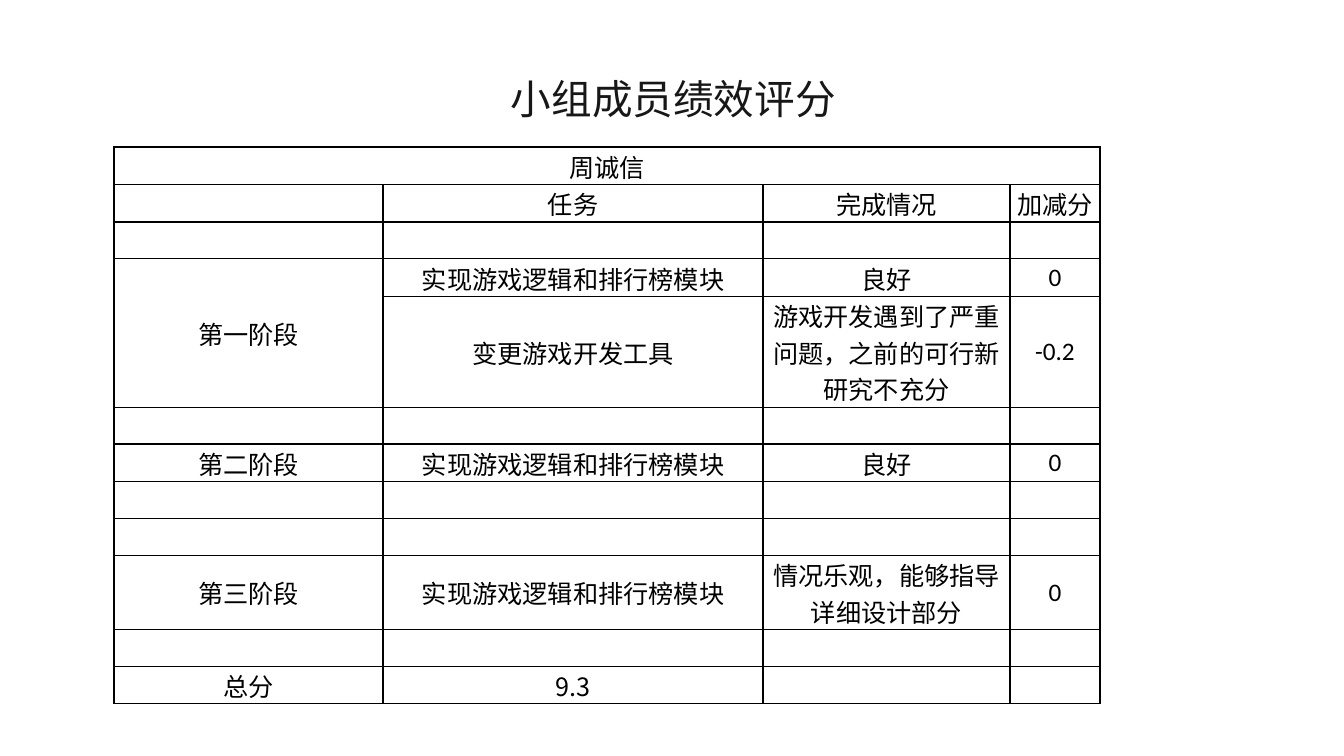
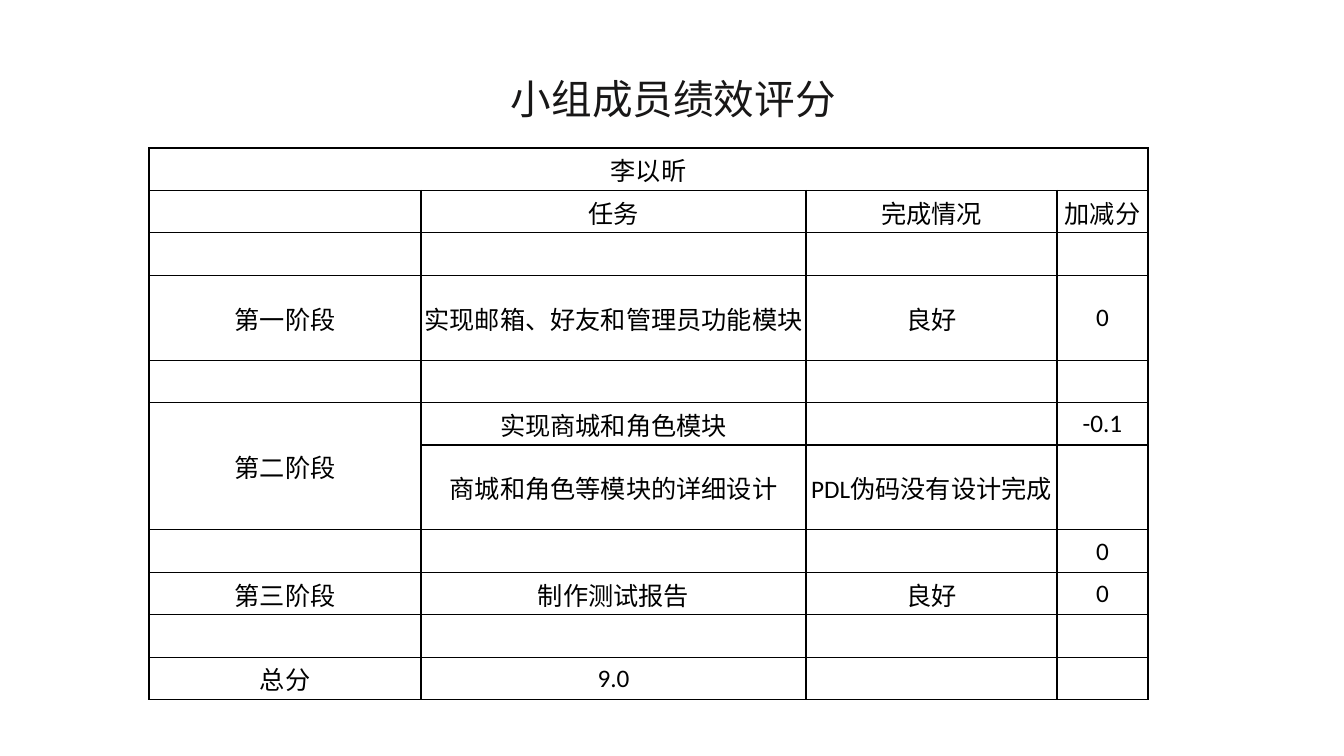
from pptx import Presentation
from pptx.dml.color import RGBColor
from pptx.enum.text import MSO_ANCHOR, MSO_AUTO_SIZE, PP_ALIGN
from pptx.oxml.ns import qn
from pptx.util import Emu, Pt
from lxml.etree import SubElement

COLORS = {"title": "181717", "text": "000000", "border": "000000", "fill": "FFFFFF"}
LATIN, CJK = "Calibri", "Noto Sans CJK SC"
TITLE = "小组成员绩效评分"
TITLE_BOX = (499, 69, 349, 59)
HEADER = ("", "任务", "完成情况", "加减分")
BLANK = ("", "", "", "")

MEMBERS = [
    {
        "name": "周诚信", "left": 114, "top": 147, "height": 554,
        "cols": (269, 380, 247, 90), "score_font": CJK,
        "rows": [
            (1, BLANK),
            (1, ("第一阶段", "实现游戏逻辑和排行榜模块", "良好", "0")),
            (3, (None, "变更游戏开发工具", "游戏开发遇到了严重问题，之前的可行新研究不充分", "-0.2")),
            (1, BLANK),
            (1, ("第二阶段", "实现游戏逻辑和排行榜模块", "良好", "0")),
            (1, BLANK),
            (1, BLANK),
            (2, ("第三阶段", "实现游戏逻辑和排行榜模块", "情况乐观，能够指导详细设计部分", "0")),
            (1, BLANK),
        ],
        "total": "9.3",
    },
    {
        "name": "李以昕", "left": 149, "top": 148, "height": 552,
        "cols": (272, 385, 251, 91), "score_font": LATIN,
        "rows": [
            (1, BLANK),
            (2, ("第一阶段", "实现邮箱、好友和管理员功能模块", "良好", "0")),
            (1, BLANK),
            (1, ("第二阶段", "实现商城和角色模块", "", "-0.1")),
            (2, (None, "商城和角色等模块的详细设计", "PDL伪码没有设计完成", "")),
            (1, ("", "", "", "0")),
            (1, ("第三阶段", "制作测试报告", "良好", "0")),
            (1, BLANK),
        ],
        "total": "9.0",
    },
]


def px(n):
    return Emu(round(n * 914400 / 100.8))


def add_run(p, text, size, color, latin):
    r = p.add_run()
    r.text = text
    r.font.size = Pt(size)
    r.font.bold = False
    r.font.name = latin
    r.font.color.rgb = RGBColor.from_string(COLORS[color])
    SubElement(r.font._element, qn("a:ea")).set("typeface", CJK)


def add_title(s):
    sp = s.shapes.title
    sp.left, sp.top, sp.width, sp.height = map(px, TITLE_BOX)
    tf = sp.text_frame
    tf.word_wrap = False
    tf.auto_size = MSO_AUTO_SIZE.NONE
    tf.vertical_anchor = MSO_ANCHOR.MIDDLE
    p = tf.paragraphs[0]
    p.alignment = PP_ALIGN.CENTER
    add_run(p, TITLE, 29, "title", CJK)


def style_cell(cell):
    cell.margin_left = cell.margin_right = cell.margin_top = px(1)
    cell.margin_bottom = 0
    cell.vertical_anchor = MSO_ANCHOR.MIDDLE
    tcPr = cell._tc.get_or_add_tcPr()
    for side in ("lnL", "lnR", "lnT", "lnB"):
        ln = SubElement(tcPr, qn(f"a:{side}"), w=str(Pt(1)))
        fill = SubElement(ln, qn("a:solidFill"))
        SubElement(fill, qn("a:srgbClr"), val=COLORS["border"])
    cell.fill.solid()
    cell.fill.fore_color.rgb = RGBColor.from_string(COLORS["fill"])


def add_score_table(s, member):
    rows = [
        (1, (member["name"], None, None, None)),
        (1, HEADER),
        *member["rows"],
        (1, ("总分", member["total"], "", "")),
    ]
    cols = member["cols"]
    unit = member["height"] / sum(units for units, _ in rows)
    table = s.shapes.add_table(len(rows), len(cols), px(member["left"]), px(member["top"]),
                               px(sum(cols)), px(member["height"])).table
    table.first_row = table.horz_banding = False
    for column, width in zip(table.columns, cols):
        column.width = px(width)
    for i, (units, texts) in enumerate(rows):
        table.rows[i].height = px(units * unit)
        for j, text in enumerate(texts):
            cell = table.cell(i, j)
            style_cell(cell)
            if text:
                p = cell.text_frame.paragraphs[0]
                p.alignment = PP_ALIGN.CENTER
                is_total = text == member["total"]
                add_run(p, text, 18, "text", member["score_font"] if is_total else LATIN)
        if texts[0] is None:
            table.cell(i - 1, 0).merge(table.cell(i, 0))
    table.cell(0, 0).merge(table.cell(0, len(cols) - 1))


def main():
    prs = Presentation()
    prs.slide_width, prs.slide_height = px(1344), px(756)
    for member in MEMBERS:
        s = prs.slides.add_slide(prs.slide_layouts[5])
        add_title(s)
        add_score_table(s, member)
    prs.save("out.pptx")


if __name__ == "__main__":
    main()
